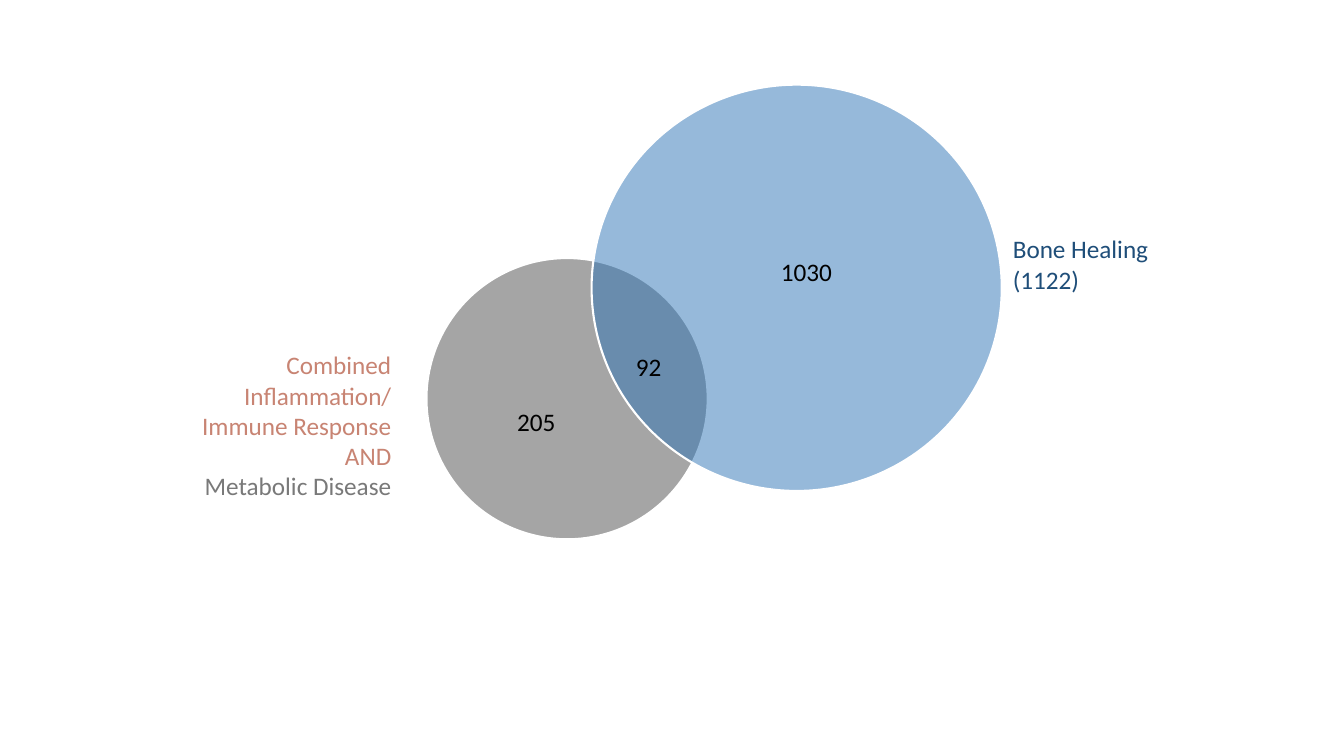
from lxml import etree
from pptx import Presentation
from pptx.dml.color import RGBColor
from pptx.enum.shapes import MSO_SHAPE
from pptx.enum.text import PP_ALIGN
from pptx.oxml.ns import qn
from pptx.util import Pt

OVAL = MSO_SHAPE.OVAL
LEFT, CENTER, RIGHT = PP_ALIGN.LEFT, PP_ALIGN.CENTER, PP_ALIGN.RIGHT

COLORS = {
    "outline": "FFFFFF",
    "metabolic": "A5A5A5",
    "bone": "2E75B6",
    "bone_label": "1F4E79",
    "immune_label": "C88473",
    "metabolic_label": "797979",
    "count": "000000",
}
CIRCLES = [
    ("metabolic", 100, (304.6, 184.3, 200.9, 200.9)),
    ("bone", 50, (422.6, 60.5, 293, 290.2)),
]
LABELS = [
    ((126, 246.2, 160.6, 138.2), RIGHT, [
        ("Combined Inflammation/ Immune Response", "immune_label"),
        ("AND", "immune_label"),
        ("Metabolic Disease", "metabolic_label"),
    ]),
    ((716.4, 163.4, 122.4, 51.1), LEFT, [
        ("Bone Healing", "bone_label"),
        ("(1122)", "bone_label"),
    ]),
    ((542.2, 179.3, 67.7, 28.8), CENTER, [("1030", "count")]),
    ((349.2, 286.6, 67.7, 28.8), CENTER, [("205", "count")]),
    ((439.2, 247.7, 48.2, 28.8), CENTER, [("92", "count")]),
]
FONT = {"name": "Calibri", "size": Pt(18)}


def rgb(name):
    return RGBColor.from_string(COLORS[name])


def add_circle(slide, color, opacity, box):
    circle = slide.shapes.add_shape(OVAL, *map(Pt, box))
    circle.shadow.inherit = False
    circle.fill.solid()
    circle.fill.fore_color.rgb = rgb(color)
    circle.line.color.rgb = rgb("outline")
    circle.line.width = Pt(1.5)
    if opacity < 100:
        fill_color = circle.fill._xPr.find(qn("a:solidFill"))[0]
        etree.SubElement(fill_color, qn("a:alpha"), val=str(opacity * 1000))


def add_label(slide, box, alignment, lines):
    frame = slide.shapes.add_textbox(*map(Pt, box)).text_frame
    frame.word_wrap = True
    for index, (text, color) in enumerate(lines):
        paragraph = frame.add_paragraph() if index else frame.paragraphs[0]
        paragraph.text = text
        paragraph.alignment = alignment
        for attribute, value in FONT.items():
            setattr(paragraph.font, attribute, value)
        paragraph.font.color.rgb = rgb(color)


def main():
    presentation = Presentation()
    presentation.slide_width, presentation.slide_height = Pt(960), Pt(540)
    slide = presentation.slides.add_slide(presentation.slide_layouts[6])
    for circle in CIRCLES:
        add_circle(slide, *circle)
    for label in LABELS:
        add_label(slide, *label)
    presentation.save("out.pptx")


if __name__ == "__main__":
    main()
